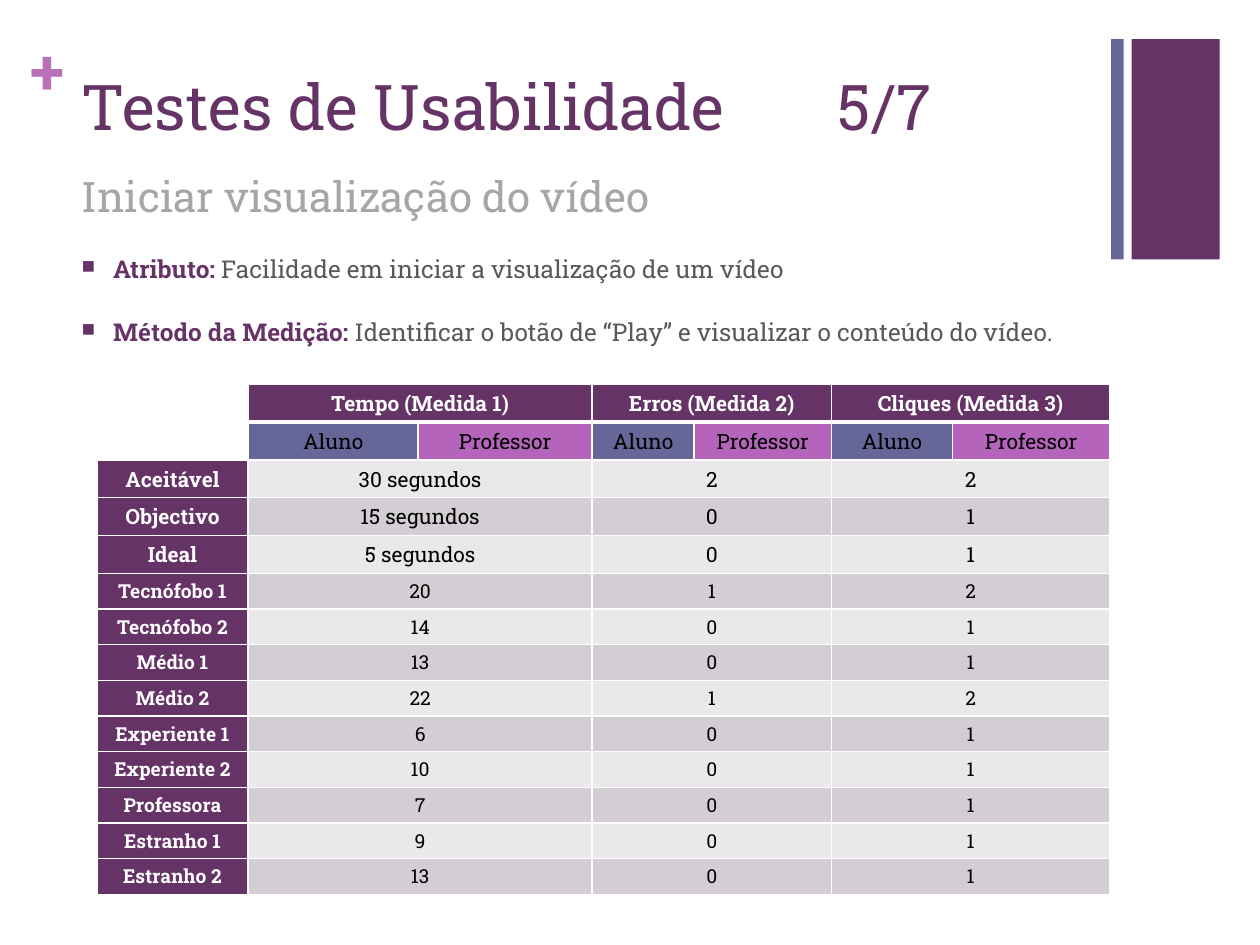
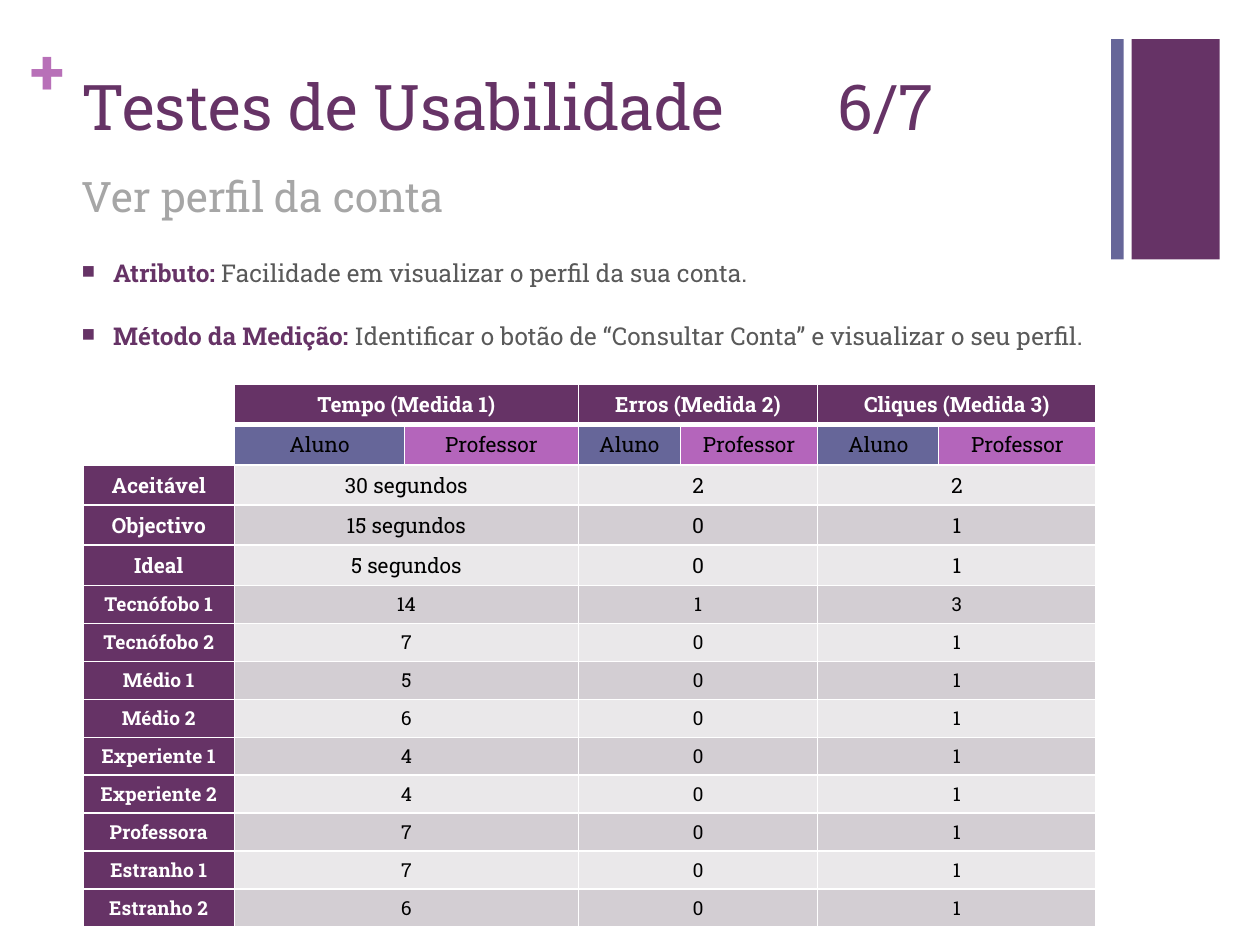
from lxml import etree
from pptx import Presentation
from pptx.dml.color import RGBColor
from pptx.enum.shapes import MSO_SHAPE as SHAPE
from pptx.enum.text import MSO_ANCHOR as ANCHOR, MSO_AUTO_SIZE as AUTO, PP_ALIGN as ALIGN
from pptx.oxml.ns import qn
from pptx.util import Pt

FONT = "Roboto Slab"
PURPLE, BLUE, ORCHID, PLUS = "663366", "666699", "B465BB", "B870B8"
WHITE, BLACK, GREY, DARK_GREY = "FFFFFF", "000000", "A6A6A6", "595959"
BANDS = ("EAE8EA", "D3CED3")
LEFT, WIDTH = 39.6, 594.7
COL_WIDTHS = (86.4, 97.2, 99.4, 58.3, 78.5, 69.1, 90)
MEASURES = ("Tempo (Medida 1)", "Erros (Medida 2)", "Cliques (Medida 3)")
GOALS = (
    ("Aceitável", "30 segundos", 2, 2),
    ("Objectivo", "15 segundos", 0, 1),
    ("Ideal", "5 segundos", 0, 1),
)
TESTERS = ("Tecnófobo 1", "Tecnófobo 2", "Médio 1", "Médio 2", "Experiente 1",
           "Experiente 2", "Professora", "Estranho 1", "Estranho 2")
TESTS = (
    dict(
        number="5/7", subtitle="Iniciar visualização do vídeo", body_top=142.6,
        attribute="Facilidade em iniciar a visualização de um vídeo",
        method="Identificar o botão de “Play” e visualizar o conteúdo do vídeo.",
        table_left=55.4, margin=2.9, heights=(21.6, 20.4),
        times=(20, 14, 13, 22, 6, 10, 7, 9, 13),
        errors=(1, 0, 0, 1, 0, 0, 0, 0, 0),
        clicks=(2, 1, 1, 2, 1, 1, 1, 1, 1),
    ),
    dict(
        number="6/7", subtitle="Ver perfil da conta", body_top=145.4,
        attribute="Facilidade em visualizar o perfil da sua conta.",
        method="Identificar o botão de “Consultar Conta” e visualizar o seu perfil.",
        table_left=47.5, margin=3.6, heights=(23, 21.7),
        times=(14, 7, 5, 6, 4, 4, 7, 7, 6),
        errors=(1, 0, 0, 0, 0, 0, 0, 0, 0),
        clicks=(3, 1, 1, 1, 1, 1, 1, 1, 1),
    ),
)


def rgb(value):
    """Turn a hex string into a colour."""
    return RGBColor.from_string(value)


def add_text(p, text, size=12, color=BLACK, bold=False, align=ALIGN.LEFT):
    """Add a formatted run to a paragraph."""
    p.alignment = align
    r = p.add_run()
    r.text = text
    r.font.name, r.font.size, r.font.bold = FONT, Pt(size), bold
    r.font.color.rgb = rgb(color)


def add_box(s, left, top, width, height, inset=None):
    """Add a wrapping text box and return its text frame."""
    tf = s.shapes.add_textbox(Pt(left), Pt(top), Pt(width), Pt(height)).text_frame
    tf.word_wrap = True
    if inset is not None:
        tf.margin_left = tf.margin_right = tf.margin_top = tf.margin_bottom = Pt(inset)
    return tf


def add_bar(s, left, width, color):
    """Add a vertical bar at the top right."""
    sp = s.shapes.add_shape(SHAPE.RECTANGLE, Pt(left), Pt(22.3), Pt(width), Pt(126))
    sp.shadow.inherit = False
    sp.fill.solid()
    sp.fill.fore_color.rgb = rgb(color)
    sp.line.fill.background()


def add_decor(s):
    """Add the bars and the plus sign that every slide has."""
    add_bar(s, 646.6, 50.4, PURPLE)
    add_bar(s, 635, 7.2, BLUE)
    tf = add_box(s, 17.3, 18, 21, 44, inset=0)
    add_text(tf.paragraphs[0], "+", size=36, color=PLUS, bold=True)


def set_title(s, text):
    """Place and fill the title placeholder."""
    sp = s.shapes.title
    sp.left, sp.top, sp.width, sp.height = Pt(LEFT), Pt(38.2), Pt(WIDTH), Pt(87.8)
    tf = sp.text_frame
    tf.auto_size, tf.vertical_anchor = AUTO.NONE, ANCHOR.TOP
    p = tf.paragraphs[0]
    p.line_spacing = 0.95
    add_text(p, text, size=36, color=PURPLE)


def add_subtitle(s, text):
    """Add the grey line below the title."""
    p = add_box(s, LEFT, 95.8, WIDTH, 66.2).paragraphs[0]
    p.line_spacing = 0.95
    add_text(p, text, size=24, color=GREY)


def set_bullet(p):
    """Give a paragraph a hanging square bullet."""
    pPr = p._p.get_or_add_pPr()
    pPr.set("marL", str(Pt(18)))
    pPr.set("indent", str(-Pt(18)))
    color = etree.SubElement(pPr, qn("a:buClr"))
    etree.SubElement(color, qn("a:srgbClr"), val=PURPLE)
    etree.SubElement(pPr, qn("a:buSzPct"), val="75000")
    etree.SubElement(pPr, qn("a:buChar"), char="■")


def add_bullets(s, top, items):
    """Add bullets that each open with a bold label."""
    tf = add_box(s, LEFT, top, WIDTH, 80)
    for i, (label, text) in enumerate(items):
        p = tf.add_paragraph() if i else tf.paragraphs[0]
        p.line_spacing = 0.95
        p.space_before = Pt(20 if i else 0)
        set_bullet(p)
        add_text(p, label, size=14, color=PURPLE, bold=True)
        add_text(p, text, size=14, color=DARK_GREY)


def set_borders(cell, top=1, bottom=1):
    """Draw white borders around a cell."""
    tcPr = cell._tc.get_or_add_tcPr()
    for i, (side, width) in enumerate(zip("LRTB", (1, 1, top, bottom))):
        ln = etree.Element(qn(f"a:ln{side}"), w=str(Pt(width)))
        fill = etree.SubElement(ln, qn("a:solidFill"))
        etree.SubElement(fill, qn("a:srgbClr"), val=WHITE)
        tcPr.insert(i, ln)


def fill_cell(cell, text, fill, **fmt):
    """Fill a cell with a colour and centred text."""
    cell.fill.solid()
    cell.fill.fore_color.rgb = rgb(fill)
    add_text(cell.text_frame.paragraphs[0], str(text), align=ALIGN.CENTER, **fmt)


def fill_pair(table, row, measure, text, fill, **fmt):
    """Merge the two columns of a measure and fill them."""
    col = 1 + 2 * measure
    table.cell(row, col).merge(table.cell(row, col + 1))
    fill_cell(table.cell(row, col), text, fill, **fmt)


def format_cells(table, row, size, margin):
    """Set the margins, borders and base text size of a row."""
    for cell in table.rows[row].cells:
        cell.margin_top = cell.margin_bottom = Pt(margin)
        cell.vertical_anchor = ANCHOR.MIDDLE
        cell.fill.background()
        set_borders(cell, top=3 if row == 1 else 1, bottom=3 if row == 0 else 1)
        end = cell.text_frame.paragraphs[0]._p.get_or_add_endParaRPr()
        end.set("sz", str(size * 100))


def add_results(s, left, margin, heights, rows):
    """Add the table of goals and measured results."""
    sizes = [12] * (2 + len(GOALS)) + [11] * len(TESTERS)
    frame = s.shapes.add_table(len(sizes), len(COL_WIDTHS), Pt(left), Pt(219.6),
                               Pt(sum(COL_WIDTHS)), Pt(291.6))
    table = frame.table
    table.first_row = table.horz_banding = False
    for col, width in zip(table.columns, COL_WIDTHS):
        col.width = Pt(width)
    for i, size in enumerate(sizes):
        table.rows[i].height = Pt(heights[0] if size == 12 else heights[1])
        format_cells(table, i, size, margin)
    for m, measure in enumerate(MEASURES):
        fill_pair(table, 0, m, measure, PURPLE, color=WHITE, bold=True)
        fill_cell(table.cell(1, 1 + 2 * m), "Aluno", BLUE)
        fill_cell(table.cell(1, 2 + 2 * m), "Professor", ORCHID)
    for i, (label, *values) in enumerate(rows, start=2):
        fill_cell(table.cell(i, 0), label, PURPLE, size=sizes[i], color=WHITE, bold=True)
        for m, value in enumerate(values):
            fill_pair(table, i, m, value, BANDS[i % 2], size=sizes[i])


def add_test_slide(prs, test):
    """Add the slide of one usability test."""
    s = prs.slides.add_slide(prs.slide_layouts[5])
    add_decor(s)
    set_title(s, f"Testes de Usabilidade \t\t{test['number']}")
    add_subtitle(s, test["subtitle"])
    add_bullets(s, test["body_top"], (("Atributo: ", test["attribute"]),
                                      ("Método da Medição: ", test["method"])))
    rows = (*GOALS, *zip(TESTERS, test["times"], test["errors"], test["clicks"]))
    add_results(s, test["table_left"], test["margin"], test["heights"], rows)


def main():
    """Build and save the presentation."""
    prs = Presentation()
    prs.slide_width, prs.slide_height = Pt(720), Pt(540)
    for test in TESTS:
        add_test_slide(prs, test)
    prs.save("out.pptx")


if __name__ == "__main__":
    main()
